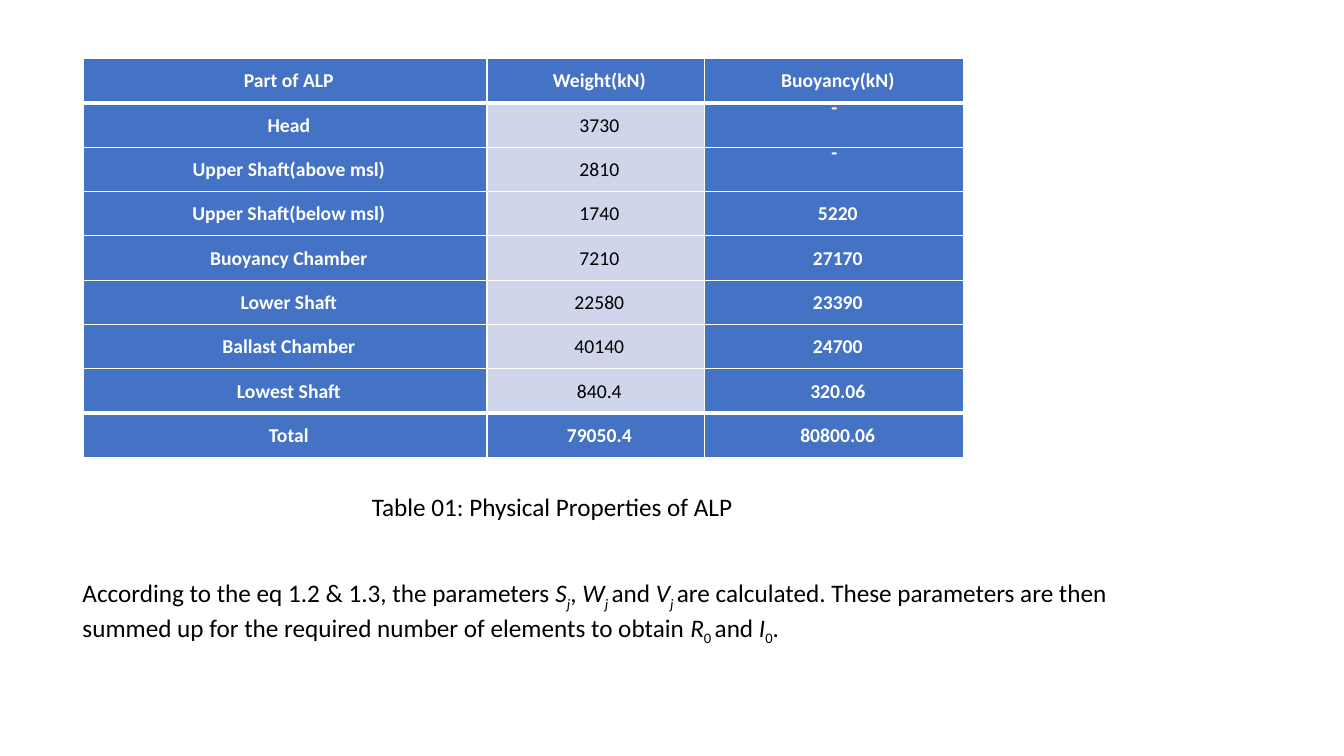
from dataclasses import dataclass

from lxml import etree
from pptx import Presentation
from pptx.dml.color import RGBColor
from pptx.enum import text
from pptx.oxml import ns
from pptx.util import Inches, Pt


@dataclass(frozen=True)
class Theme:
    font: str = "Calibri"
    table_size: float = 14
    text_size: float = 18
    table_leading: float = 12.4
    blue: str = "4472C4"
    pale: str = "CFD5EA"
    white: str = "FFFFFF"
    black: str = "000000"
    thin: float = 1
    thick: float = 3


THEME = Theme()

PROPERTIES = [
    ("Part of ALP", "Weight(kN)", "Buoyancy(kN)"),
    ("Head", "3730", "-"),
    ("Upper Shaft(above msl)", "2810", "-"),
    ("Upper Shaft(below msl)", "1740", "5220"),
    ("Buoyancy Chamber", "7210", "27170"),
    ("Lower Shaft", "22580", "23390"),
    ("Ballast Chamber", "40140", "24700"),
    ("Lowest Shaft", "840.4", "320.06"),
    ("Total", "79050.4", "80800.06"),
]
COLUMN_WIDTHS = (4, 2.16, 2.57)
ROW_HEIGHT = 0.44

# Each run: wording, italic, subscript
EXPLANATION = [
    ("According to the eq 1.2 & 1.3, the parameters ", False, False),
    ("S", True, False), ("j", True, True), (", ", False, False),
    ("W", True, False), ("j ", True, True), ("and ", False, False),
    ("V", True, False), ("j ", True, True),
    ("are calculated. These parameters are then summed up for the required "
     "number of elements to obtain ", False, False),
    ("R", True, False), ("0 ", False, True), ("and ", False, False),
    ("I", True, False), ("0", False, True), (".", False, False),
]


def add_run(paragraph, wording, size, color, bold=False, italic=False, subscript=False):
    run = paragraph.add_run()
    run.text = wording
    run.font.name = THEME.font
    run.font.size = Pt(size)
    run.font.bold = bold
    run.font.italic = italic
    run.font.color.rgb = RGBColor.from_string(color)
    if subscript:
        run.font._element.set("baseline", "-25000")


def set_borders(cell, top, bottom):
    """White cell borders; top and bottom are widths in points."""
    properties = cell._tc.get_or_add_tcPr()
    widths = {"a:lnL": THEME.thin, "a:lnR": THEME.thin, "a:lnT": top, "a:lnB": bottom}
    for side, width in widths.items():
        line = etree.SubElement(properties, ns.qn(side), w=str(Pt(width)))
        fill = etree.SubElement(line, ns.qn("a:solidFill"))
        etree.SubElement(fill, ns.qn("a:srgbClr"), val=THEME.white)


def fill_cell(cell, wording, pale, top, bottom):
    set_borders(cell, top, bottom)
    cell.fill.solid()
    cell.fill.fore_color.rgb = RGBColor.from_string(THEME.pale if pale else THEME.blue)

    # Dashes sit at the top of the cell, other entries one line lower
    is_dash = wording == "-"
    cell.margin_left = Inches(0 if is_dash else 0.07)
    cell.margin_top = Pt(0 if is_dash else THEME.table_leading)
    cell.margin_right = cell.margin_bottom = 0
    entry = cell.text_frame.paragraphs[0]
    entry.alignment = text.PP_ALIGN.CENTER
    entry.line_spacing = Pt(THEME.table_leading)
    color = THEME.black if pale else THEME.white
    add_run(entry, wording, THEME.table_size, color, bold=not pale)


def add_properties_table(slide, left, top):
    last = len(PROPERTIES) - 1
    table = slide.shapes.add_table(
        len(PROPERTIES), len(COLUMN_WIDTHS), Inches(left), Inches(top),
        Inches(sum(COLUMN_WIDTHS)), Inches(ROW_HEIGHT * len(PROPERTIES))).table
    table.last_row = table.first_col = True
    table.horz_banding = False
    for column, width in zip(table.columns, COLUMN_WIDTHS):
        column.width = Inches(width)
    for r, entries in enumerate(PROPERTIES):
        table.rows[r].height = Inches(ROW_HEIGHT)
        # Thick rules below the header and above the total
        above = THEME.thick if r in (1, last) else THEME.thin
        below = THEME.thick if r in (0, last - 1) else THEME.thin
        for c, wording in enumerate(entries):
            pale = c == 1 and 0 < r < last
            fill_cell(table.cell(r, c), wording, pale, above, below)


def add_text(slide, left, top, width, height, runs, right_margin=0.1):
    frame = slide.shapes.add_textbox(
        Inches(left), Inches(top), Inches(width), Inches(height)).text_frame
    frame.word_wrap = True
    frame.margin_right = Inches(right_margin)
    for wording, italic, subscript in runs:
        add_run(frame.paragraphs[0], wording, THEME.text_size, THEME.black,
                italic=italic, subscript=subscript)


def main():
    deck = Presentation()
    deck.slide_width, deck.slide_height = Inches(13.33), Inches(7.5)
    slide = deck.slides.add_slide(deck.slide_layouts[6])

    # Table and its caption
    add_properties_table(slide, 0.83, 0.58)
    add_text(slide, 3.59, 4.83, 6.94, 0.4,
             [("Table 01: Physical Properties of ALP", False, False)])

    # Explanation of the parameters
    add_text(slide, 0.72, 5.68, 11.24, 1.01, EXPLANATION, right_margin=0.4)

    deck.save("out.pptx")


if __name__ == "__main__":
    main()
